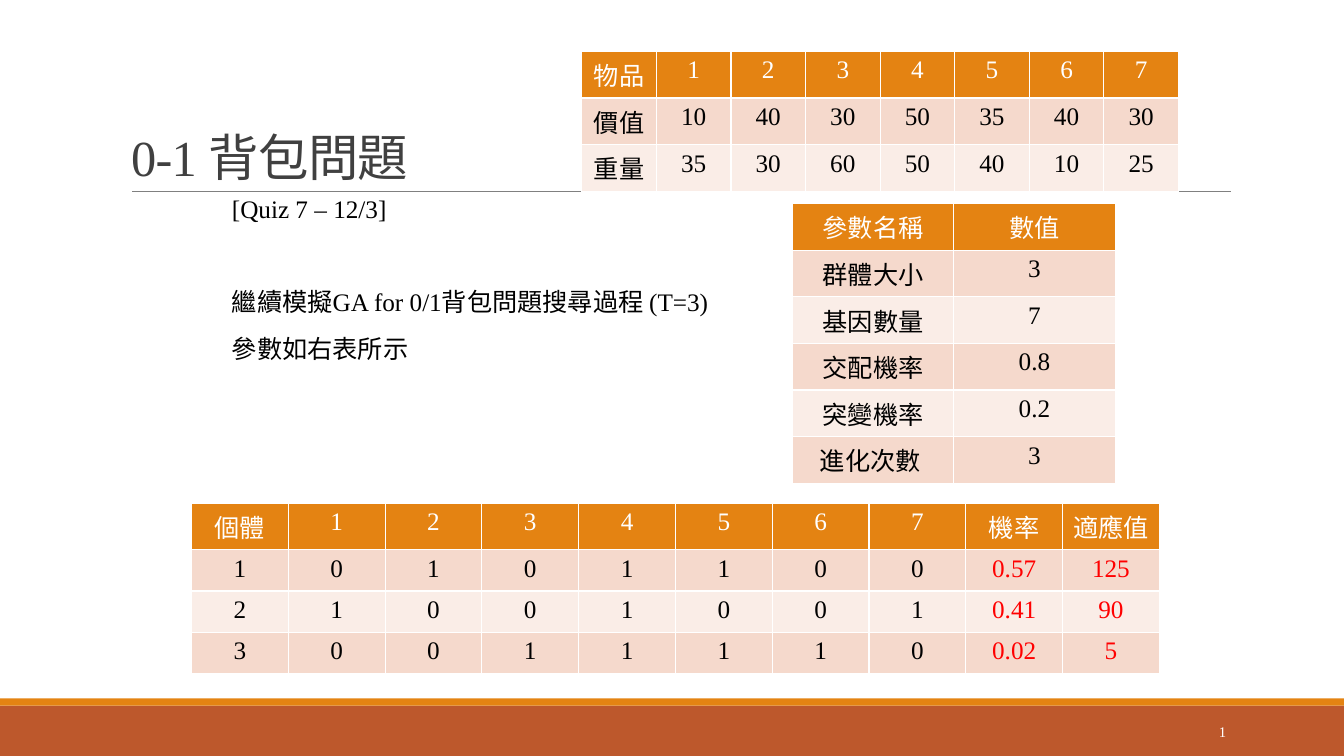
from pptx import Presentation
from pptx.dml.color import RGBColor
from pptx.enum.shapes import MSO_CONNECTOR, MSO_SHAPE
from pptx.enum.text import MSO_ANCHOR, MSO_AUTO_SIZE, PP_ALIGN
from pptx.oxml.ns import qn
from pptx.util import Inches, Pt

COLORS = {
    "footer": "BD582C", "accent": "E48312", "rule": "808080",
    "title": "404040", "text": "000000", "white": "FFFFFF",
    "result": "FF0000", "odd_row": "F5D9CC", "even_row": "FAEDE7",
}


def color(name):
    return RGBColor.from_string(COLORS[name])


def apply(target, values):
    for name, value in values.items():
        setattr(target, name, value)


class SlideBuilder:
    font_name = "Times New Roman"

    def __init__(self, slide):
        self.slide = slide

    def add_text(self, paragraph, text, size=18, ink="text", **layout):
        run = paragraph.add_run()
        run.text = text
        apply(run.font, {"name": self.font_name, "size": Pt(size), "bold": False})
        run.font.color.rgb = color(ink)
        apply(paragraph, layout)
        return run

    def place(self, shape, box, **frame):
        """Move a text shape to box and format its text frame."""
        apply(shape, dict(zip(("left", "top", "width", "height"), map(Inches, box))))
        apply(shape.text_frame, {"word_wrap": True, "auto_size": MSO_AUTO_SIZE.NONE, **frame})
        return shape.text_frame

    def band(self, top, height, fill):
        band = self.slide.shapes.add_shape(
            MSO_SHAPE.RECTANGLE, 0, Inches(top), Inches(13.33), Inches(height))
        band.shadow.inherit = False
        band.fill.solid()
        band.fill.fore_color.rgb = color(fill)
        band.line.fill.background()

    def rule(self, left, right, y):
        rule = self.slide.shapes.add_connector(
            MSO_CONNECTOR.STRAIGHT, Inches(left), Inches(y), Inches(right), Inches(y))
        rule.line.color.rgb = color("rule")
        rule.line.width = Pt(0.5)
        properties = rule._element.spPr
        properties.append(properties.makeelement(qn("a:effectLst"), {}))

    def title(self, text, box):
        frame = self.place(self.slide.shapes.title, box, vertical_anchor=MSO_ANCHOR.BOTTOM)
        run = self.add_text(frame.paragraphs[0], text, 36, "title",
                            alignment=PP_ALIGN.LEFT, line_spacing=0.85)
        run.font._element.set("spc", "-50")

    def body(self, lines, box):
        """Fill the body with (text, space before) lines, without bullets."""
        frame = self.place(self.slide.placeholders[1], box, margin_left=0, margin_right=0,
                           vertical_anchor=MSO_ANCHOR.TOP)
        for index, (text, before) in enumerate(lines):
            paragraph = frame.add_paragraph() if index else frame.paragraphs[0]
            self.add_text(paragraph, text, line_spacing=0.9,
                          space_before=Pt(before), space_after=Pt(2))
            properties = paragraph._p.get_or_add_pPr()
            properties.set("marL", "0")
            properties.set("indent", "0")
            properties.append(properties.makeelement(qn("a:buNone"), {}))

    def page_number(self, text, box):
        number = self.slide.shapes.add_textbox(*map(Inches, box))
        frame = self.place(number, box, vertical_anchor=MSO_ANCHOR.MIDDLE)
        self.add_text(frame.paragraphs[0], text, 10.5, "white", alignment=PP_ALIGN.RIGHT)

    def table(self, rows, left, top, column_width, row_height, result_columns=()):
        column_count = len(rows[0])
        table = self.slide.shapes.add_table(
            len(rows), column_count, Inches(left), Inches(top),
            Inches(column_width * column_count), Inches(row_height * len(rows))).table
        for row, values in enumerate(rows):
            fill = "accent" if row == 0 else ("even_row", "odd_row")[row % 2]
            for column, value in enumerate(values):
                cell = table.cell(row, column)
                cell.fill.solid()
                cell.fill.fore_color.rgb = color(fill)
                ink = "white" if row == 0 else "result" if column in result_columns else "text"
                self.add_text(cell.text_frame.paragraphs[0], value, ink=ink,
                              alignment=PP_ALIGN.CENTER)


def main():
    presentation = Presentation()
    apply(presentation, {"slide_width": Inches(13.33), "slide_height": Inches(7.5)})
    builder = SlideBuilder(presentation.slides.add_slide(presentation.slide_layouts[1]))

    builder.band(7, 0.5, "footer")
    builder.band(6.93, 0.07, "accent")
    builder.rule(1.31, 12.21, 1.9)
    builder.title("0-1 背包問題", (1.2, 0.31, 11, 1.59))
    builder.body([
        ("[Quiz 7 – 12/3]", 12),
        ("繼續模擬GA for 0/1背包問題搜尋過程 (T=3)", 45),
        ("參數如右表所示", 12),
    ], (2.3, 1.9, 8.92, 4.97))
    builder.page_number("1", (10.83, 7.06, 1.43, 0.4))

    parameters = [
        ("參數名稱", "數值"),
        ("群體大小", "3"),
        ("基因數量", "7"),
        ("交配機率", "0.8"),
        ("突變機率", "0.2"),
        ("進化次數 ", "3"),
    ]
    population = [
        ("個體", *"1234567", "機率", "適應值"),
        ("1", *"0101100", "0.57", "125"),
        ("2", *"1001001", "0.41", "90"),
        ("3", *"0011110", "0.02", "5"),
    ]
    items = [
        ("物品", *"1234567"),
        ("價值", "10", "40", "30", "50", "35", "40", "30"),
        ("重量", "35", "30", "60", "50", "40", "10", "25"),
    ]
    builder.table(parameters, 7.86, 2.02, 1.6, 0.35)
    builder.table(population, 1.9, 4.99, 0.96, 0.41, result_columns=(8, 9))
    builder.table(items, 5.77, 0.51, 0.74, 0.39)
    presentation.save("out.pptx")


if __name__ == "__main__":
    main()
